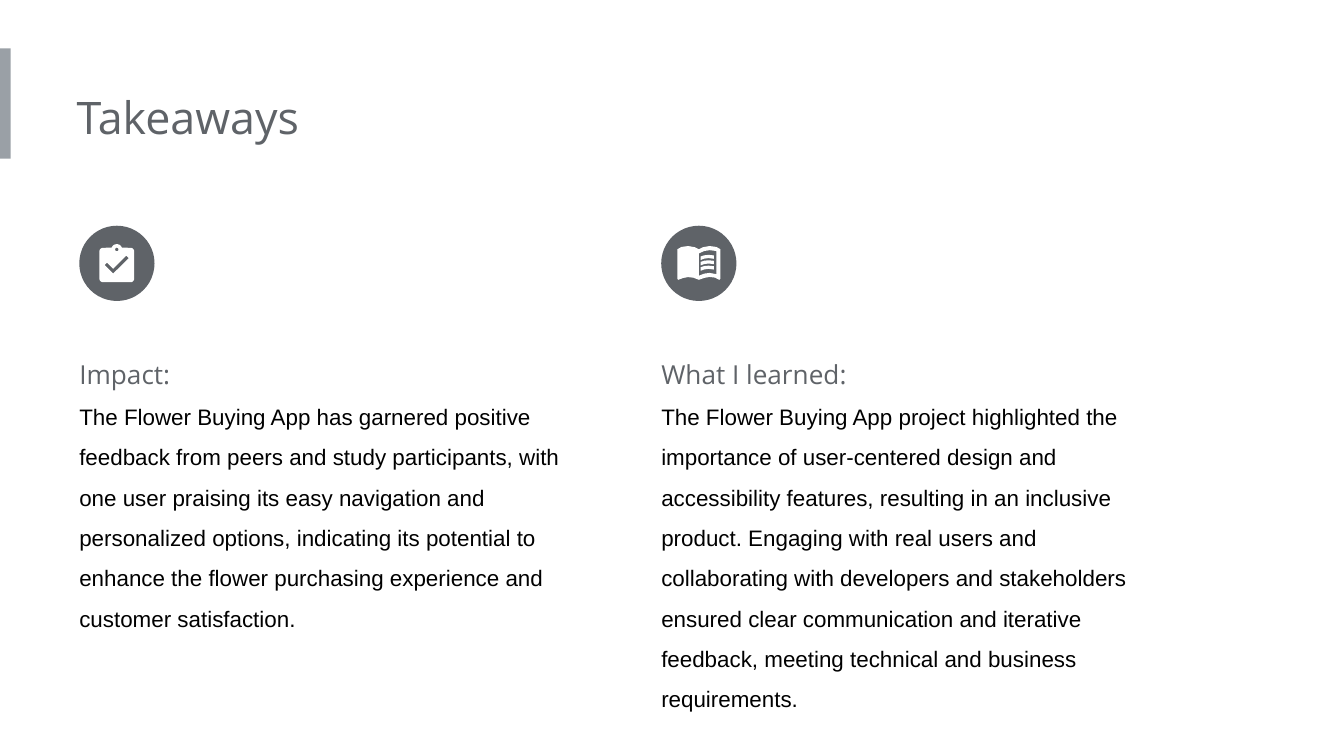
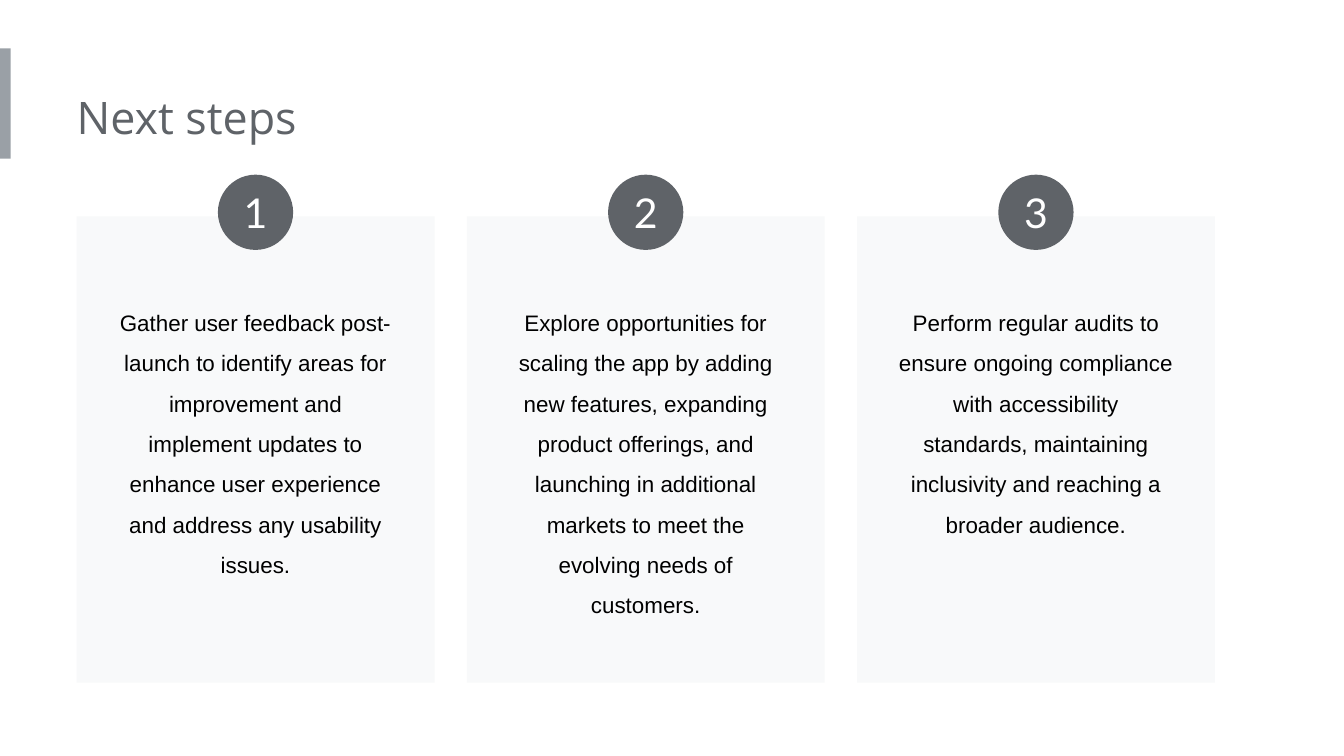
from dataclasses import dataclass
from math import cos, radians, sin

from lxml import etree
from pptx import Presentation
from pptx import util as u
from pptx.dml.color import RGBColor
from pptx.enum import shapes, text
from pptx.oxml.ns import qn


@dataclass(frozen=True)
class Style:
    size: int
    font: str
    color: str


@dataclass(frozen=True)
class Theme:
    band: str = "9AA0A6"
    dark: str = "5F6368"
    card: str = "F8F9FA"
    white: str = "FFFFFF"
    title: Style = Style(24, "Open Sans", "5F6368")
    heading: Style = Style(14, "Open Sans", "5F6368")
    body: Style = Style(12, "Arial", "000000")
    number: Style = Style(22, "Lato", "FFFFFF")
    line_spacing: float = 1.5


THEME = Theme()
WIDTH = 10
HEIGHT = WIDTH * 9 / 16
LEFT, RIGHT = 0.57, 9.04
BADGE = 0.56
INSET = 0.1

TAKEAWAYS = [
    ("Impact:",
     "The Flower Buying App has garnered positive feedback from peers and study "
     "participants, with one user praising its easy navigation and personalized "
     "options, indicating its potential to enhance the flower purchasing "
     "experience and customer satisfaction.", 2.68),
    ("What I learned:",
     "The Flower Buying App project highlighted the importance of user-centered "
     "design and accessibility features, resulting in an inclusive product. "
     "Engaging with real users and collaborating with developers and stakeholders "
     "ensured clear communication and iterative feedback, meeting technical and "
     "business requirements.", 2.98),
]
STEPS = [
    ("Gather user feedback post-launch to identify areas for improvement and "
     "implement updates to enhance user experience and address any usability issues.",
     2.32),
    ("Explore opportunities for scaling the app by adding new features, expanding "
     "product offerings, and launching in additional markets to meet the evolving "
     "needs of customers.", 2.63),
    ("Perform regular audits to ensure ongoing compliance with accessibility "
     "standards, maintaining inclusivity and reaching a broader audience.", 2.63),
]


def columns(count, gap, left=LEFT, right=RIGHT):
    """Return the left edges and the common width of equal columns."""
    width = (right - left - gap * (count - 1)) / count
    return [left + i * (width + gap) for i in range(count)], width


def place(s, x, y, w, h):
    s.left, s.top, s.width, s.height = (u.Inches(v) for v in (x, y, w, h))


def paint(s, color):
    s.fill.solid()
    s.fill.fore_color.rgb = RGBColor.from_string(color)
    s.line.fill.background()
    s.shadow.inherit = False


def add_block(slide, kind, x, y, w, h, color):
    s = slide.shapes.add_shape(kind, *(u.Inches(v) for v in (x, y, w, h)))
    paint(s, color)
    return s


def frame(s, insets, anchor=text.MSO_ANCHOR.TOP, fit=text.MSO_AUTO_SIZE.SHAPE_TO_FIT_TEXT):
    tf = s.text_frame
    tf.word_wrap = True
    tf.auto_size = fit
    tf.vertical_anchor = anchor
    tf.margin_left, tf.margin_top, tf.margin_right, tf.margin_bottom = (
        u.Inches(v) for v in insets)
    return tf


def write(p, words, style, align=text.PP_ALIGN.LEFT, spacing=None):
    p.alignment = align
    p.line_spacing = spacing
    r = p.add_run()
    r.text = words
    r.font.size = u.Pt(style.size)
    r.font.name = style.font
    r.font.color.rgb = RGBColor.from_string(style.color)


def drop_bullet(p):
    p.space_before = u.Pt(0)
    pPr = p._p.get_or_add_pPr()
    pPr.set("marL", "0")
    pPr.set("indent", "0")
    etree.SubElement(pPr, qn("a:buNone"))


def add_titled_slide(prs, layout, title):
    slide = prs.slides.add_slide(prs.slide_layouts.get_by_name(layout))
    s = slide.shapes.title
    place(s, LEFT, 0.57, 5.39, 0.61)
    tf = frame(s, (0, INSET, INSET, INSET))
    write(tf.paragraphs[0], title, THEME.title)
    return slide


def move_band_to_master(prs, slide):
    """Add the side band and hand it to the master, so that every slide shows it."""
    s = add_block(slide, shapes.MSO_SHAPE.RECTANGLE, 0, 0.36, 0.08, 0.82, THEME.band)
    prs.slide_master.shapes.element.append(s.element)


def add_badge(slide, x, y, label=None):
    s = add_block(slide, shapes.MSO_SHAPE.OVAL, x, y, BADGE, BADGE, THEME.dark)
    if label:
        tf = frame(s, (0, 0, 0, 0), text.MSO_ANCHOR.MIDDLE, text.MSO_AUTO_SIZE.NONE)
        write(tf.paragraphs[0], label, THEME.number, text.PP_ALIGN.CENTER)


def arc(cx, cy, radius, start, end, steps=8):
    angles = [radians(start + (end - start) * i / steps) for i in range(steps + 1)]
    return [(cx + radius * cos(a), cy + radius * sin(a)) for a in angles]


def clipboard_icon():
    l, t, r, b, radius = 150, 164, 408, 420, 26
    tab_x, tab_y = (l + r) / 2, 176
    outline = (arc(l + radius, t + radius, radius, 180, 270)
               + arc(tab_x, tab_y, 40, 200, 340)
               + arc(r - radius, t + radius, radius, 270, 360)
               + arc(r - radius, b - radius, radius, 0, 90)
               + arc(l + radius, b - radius, radius, 90, 180))
    hole = arc(tab_x, tab_y, 13, 0, 360, 16)
    tick = [(252, 356), (188, 292), (206, 274), (252, 320), (350, 222), (368, 240)]
    return [outline, hole, tick]


def book_icon():
    cover = [(280, 175), (250, 160), (200, 151), (150, 158), (120, 175), (120, 395),
             (126, 402), (165, 388), (200, 382), (240, 387), (280, 402), (320, 388),
             (360, 381), (400, 386), (432, 402), (440, 394), (440, 175), (410, 158),
             (360, 151), (310, 160)]
    page = [(280, 206), (320, 188), (360, 182), (410, 188),
            (410, 360), (360, 351), (320, 356), (280, 372)]
    line = [(293, 229), (320, 220), (352, 217), (392, 221),
            (392, 246), (352, 241), (320, 245), (293, 255)]
    lines = [[(x, y + 40 * i) for x, y in line] for i in range(3)]
    return [cover, page, *lines]


def add_icon(slide, x, y, contours):
    """Draw closed contours, in thousandths of an inch from the badge's corner."""
    first, *rest = contours
    fb = slide.shapes.build_freeform(*first[0], scale=u.Inches(1) / 1000)
    fb.add_line_segments(first[1:], close=True)
    for points in rest:
        fb.move_to(*points[0])
        fb.add_line_segments(points[1:], close=True)
    paint(fb.convert_to_shape(u.Inches(x), u.Inches(y)), THEME.white)


def add_takeaway(slide, s, x, heading, words, height, icon):
    top = 1.68
    add_badge(slide, x, top)
    add_icon(slide, x, top, icon)
    place(s, x, 2.45, 3.77, height)
    tf = frame(s, (0, INSET, INSET, INSET))
    for p, line, style in ((tf.paragraphs[0], heading, THEME.heading),
                           (tf.add_paragraph(), words, THEME.body)):
        write(p, line, style, spacing=THEME.line_spacing)
        drop_bullet(p)


def add_step(slide, x, width, number, words, height):
    top, pad = 1.61, 0.21
    add_block(slide, shapes.MSO_SHAPE.RECTANGLE, x, top, width, 3.47, THEME.card)
    box = (x + pad, 2.1, width - 2 * pad, height)
    s = slide.shapes.add_textbox(*(u.Inches(v) for v in box))
    tf = frame(s, (INSET,) * 4)
    write(tf.paragraphs[0], words, THEME.body, text.PP_ALIGN.CENTER, THEME.line_spacing)
    add_badge(slide, x + (width - BADGE) / 2, 1.3, str(number))


def build_takeaways(prs):
    slide = add_titled_slide(prs, "Two Content", "Takeaways")
    move_band_to_master(prs, slide)
    bodies = [s for s in slide.placeholders if s.placeholder_format.idx in (1, 2)]
    xs, _ = columns(2, 0.56, left=0.59, right=8.69)
    icons = (clipboard_icon(), book_icon())
    for s, x, (heading, words, height), icon in zip(bodies, xs, TAKEAWAYS, icons):
        add_takeaway(slide, s, x, heading, words, height, icon)


def build_next_steps(prs):
    slide = add_titled_slide(prs, "Title Only", "Next steps")
    xs, width = columns(len(STEPS), 0.24)
    for number, (x, (words, height)) in enumerate(zip(xs, STEPS), 1):
        add_step(slide, x, width, number, words, height)


def main():
    prs = Presentation()
    prs.slide_width, prs.slide_height = u.Inches(WIDTH), u.Inches(HEIGHT)
    build_takeaways(prs)
    build_next_steps(prs)
    prs.save("out.pptx")


if __name__ == "__main__":
    main()
